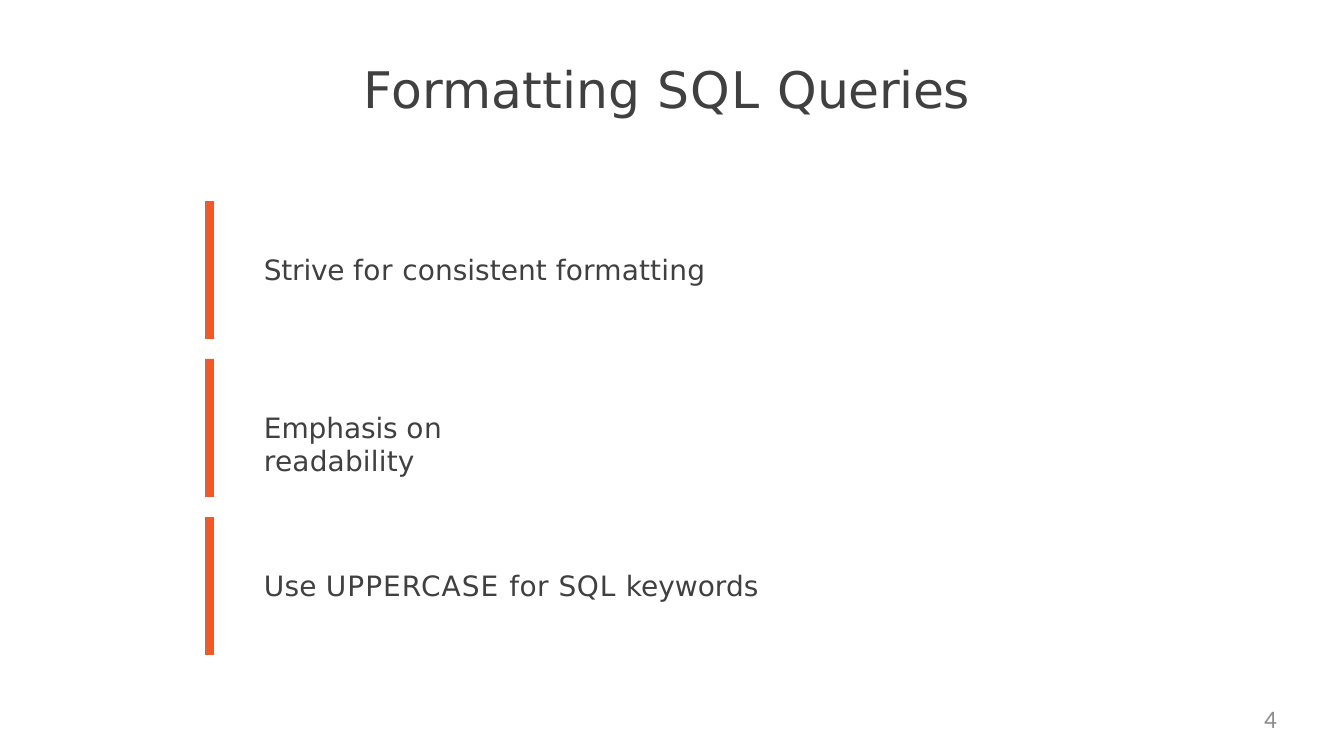
"""Build the slide on formatting SQL queries."""
from pptx import Presentation
from pptx.dml.color import RGBColor
from pptx.enum.shapes import MSO_SHAPE
from pptx.enum.text import MSO_ANCHOR, MSO_AUTO_SIZE, PP_ALIGN
from pptx.util import Pt

RECTANGLE = MSO_SHAPE.RECTANGLE
TOP = MSO_ANCHOR.TOP
NO_FIT = MSO_AUTO_SIZE.NONE
LEFT, RIGHT = PP_ALIGN.LEFT, PP_ALIGN.RIGHT

EMU_PER_PX = 914400 / 100.8
TITLE_ONLY = 5
COLORS = {"accent": "EF5A28", "text": "404040", "number": "8C8C8C"}
FRAME_FORMAT = {
    "margin_left": 0, "margin_right": 0, "margin_top": 0, "margin_bottom": 0,
    "word_wrap": True, "auto_size": NO_FIT, "vertical_anchor": TOP,
}
TITLE_FONT = {"name": "DejaVu Sans", "size": Pt(36)}
POINT_FONT = {"name": "DejaVu Sans", "size": Pt(20)}
NUMBER_FONT = {"name": "Calibri", "size": Pt(18)}

TITLE = [("Formatting ", 10), ("SQL ", 90), ("Queries", -30)]
POINTS = [
    (443, [("Strive ", -20), ("for ", 30), ("consistent ", 0), ("formatting", 10)]),
    (335, [("Emphasis ", -10), ("on ", 30), ("readability", 10)]),
    (498, [("Use ", 10), ("UPPERCASE ", 70), ("for ", 30), ("SQL ", 50), ("keywords", 0)]),
]
FIRST_BAR_TOP, BAR_PITCH = 201, 158


def px(length):
    """Turn pixels into EMU."""
    return round(length * EMU_PER_PX)


def apply_format(target, values):
    """Set each attribute named in values on target."""
    for attribute, value in values.items():
        setattr(target, attribute, value)


def place(shape, left, top, width, height):
    """Move and size a shape in pixels."""
    box = {"left": left, "top": top, "width": width, "height": height}
    apply_format(shape, {side: px(length) for side, length in box.items()})


def write(shape, spaced_words, font, color, align=LEFT):
    """Fill a shape with words, each with its letter spacing."""
    apply_format(shape.text_frame, FRAME_FORMAT)
    paragraph = shape.text_frame.paragraphs[0]
    paragraph.alignment = align
    for words, spacing in spaced_words:
        run = paragraph.add_run()
        run.text = words
        apply_format(run.font, font)
        run.font.color.rgb = RGBColor.from_string(COLORS[color])
        run.font._element.set("spc", str(spacing))


def add_bar(slide, top):
    """Add an accent bar beside a point."""
    bar = slide.shapes.add_shape(RECTANGLE, px(205), px(top), px(9), px(138))
    bar.shadow.inherit = False
    bar.fill.solid()
    bar.fill.fore_color.rgb = RGBColor.from_string(COLORS["accent"])
    bar.line.fill.background()


def add_text(slide, box, spaced_words, font, color, align=LEFT):
    """Add a text box at a pixel box."""
    label = slide.shapes.add_textbox(*map(px, box))
    write(label, spaced_words, font, color, align)


def main():
    """Build and save the slide."""
    deck = Presentation()
    deck.slide_width, deck.slide_height = px(1344), px(756)
    slide = deck.slides.add_slide(deck.slide_layouts[TITLE_ONLY])
    place(slide.shapes.title, 364, 58, 612, 64)
    write(slide.shapes.title, TITLE, TITLE_FONT, "text")
    for row, (width, words) in enumerate(POINTS):
        top = FIRST_BAR_TOP + row * BAR_PITCH
        add_bar(slide, top)
        add_text(slide, (264, top + 51, width, 36), words, POINT_FONT, "text")
    add_text(slide, (968, 703, 309, 38), [("4", 0)], NUMBER_FONT, "number", RIGHT)
    deck.save("out.pptx")


if __name__ == "__main__":
    main()
